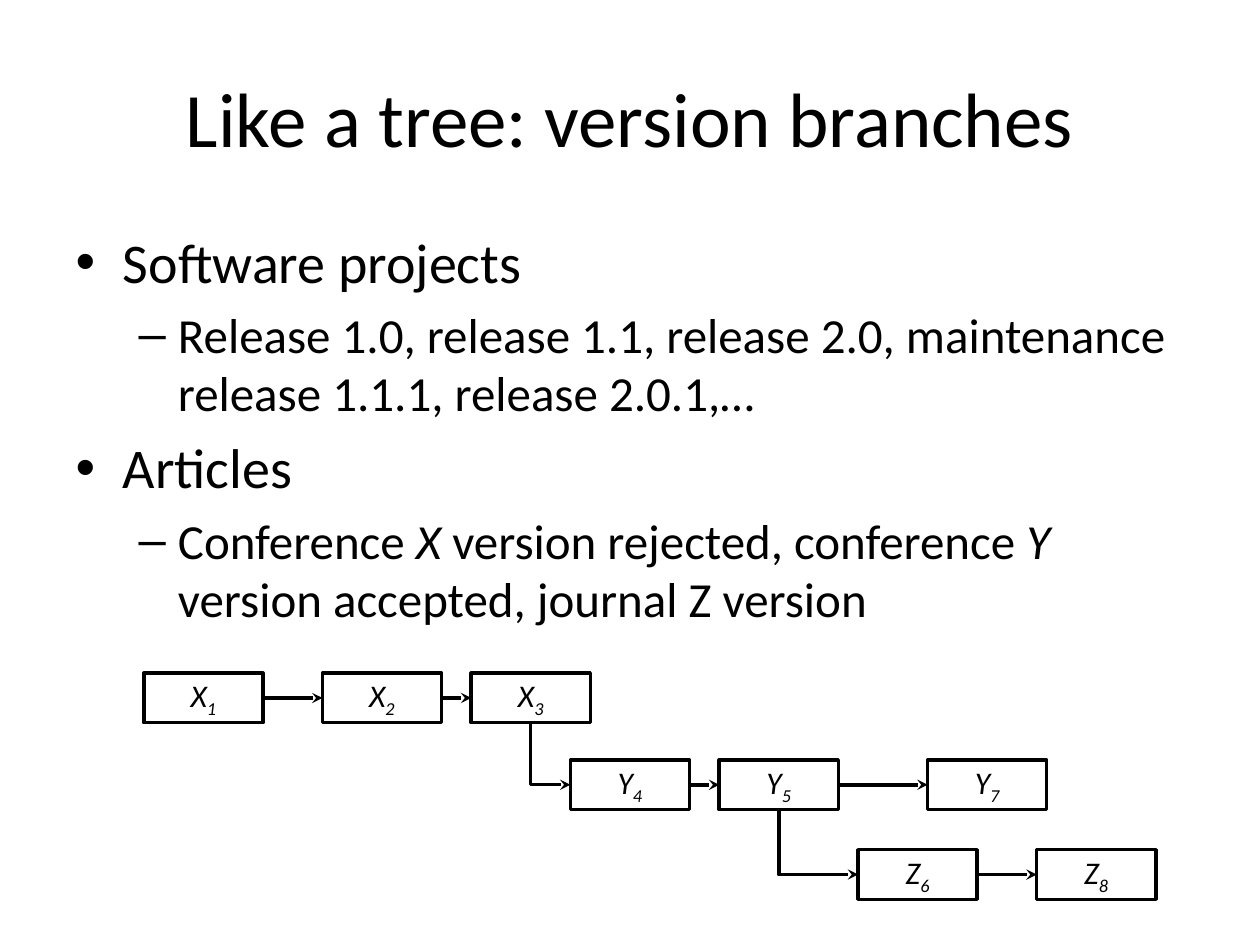
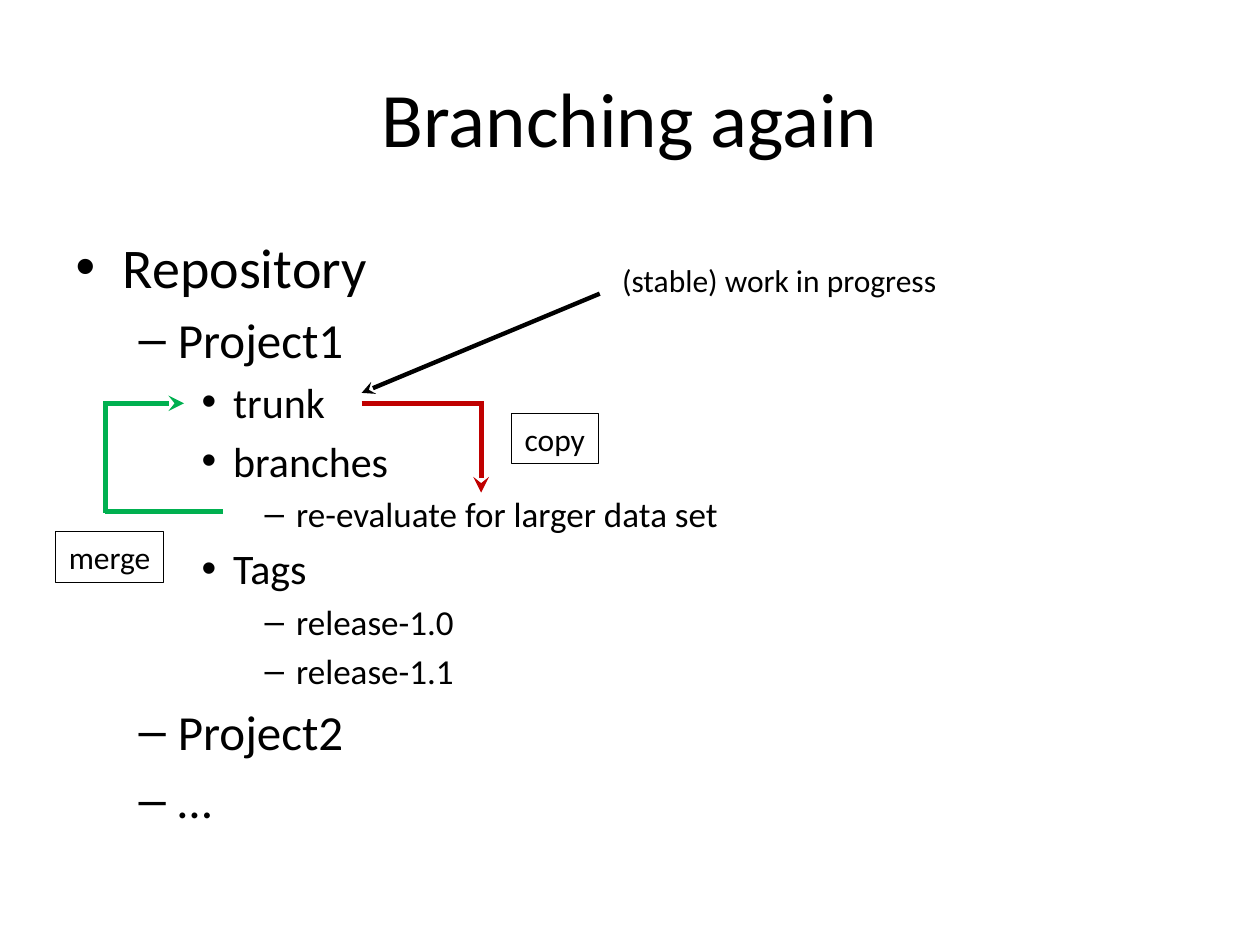
from dataclasses import dataclass

import pptx
import pptx.dml.color
import pptx.enum.shapes
import pptx.enum.text
import pptx.oxml
import pptx.oxml.ns
import pptx.util

Cm, Pt = pptx.util.Cm, pptx.util.Pt
RGBColor = pptx.dml.color.RGBColor
MSO_SHAPE = pptx.enum.shapes.MSO_SHAPE
MSO_CONNECTOR = pptx.enum.shapes.MSO_CONNECTOR
PP_ALIGN = pptx.enum.text.PP_ALIGN
MSO_ANCHOR = pptx.enum.text.MSO_ANCHOR
MSO_AUTO_SIZE = pptx.enum.text.MSO_AUTO_SIZE
qn = pptx.oxml.ns.qn

TOP, LEFT, BOTTOM, RIGHT = range(4)


@dataclass(frozen=True)
class Theme:
    font: str = "Calibri"
    black: RGBColor = RGBColor(0x00, 0x00, 0x00)
    red: RGBColor = RGBColor(0xC0, 0x00, 0x00)
    green: RGBColor = RGBColor(0x00, 0xB0, 0x50)
    title_pt: int = 44
    level_pts: tuple[int, ...] = (32, 28, 24, 20)
    label_pt: int = 18


THEME = Theme()


@dataclass(frozen=True)
class Version:
    """A box in the version graph; lengths in cm."""
    letter: str
    number: int
    left: float
    parent: int | None = None


@dataclass(frozen=True)
class Stroke:
    """A straight line; points in cm, width in points."""
    start: tuple[float, float]
    end: tuple[float, float]
    color: RGBColor
    width: float
    arrow: bool = False


@dataclass(frozen=True)
class Label:
    """A one-line text, framed or plain; lengths in cm."""
    text: str
    left: float
    top: float
    width: float
    framed: bool = True


# Version graph: one row per letter
BOX_W, BOX_H = 2.4, 1.0
ROW_TOPS = {"X": 13.57, "Y": 15.32, "Z": 17.13}
VERSIONS = [
    Version("X", 1, 2.9),
    Version("X", 2, 6.5, 1),
    Version("X", 3, 9.5, 2),
    Version("Y", 4, 11.5, 3),
    Version("Y", 5, 14.5, 4),
    Version("Z", 6, 17.3, 5),
    Version("Y", 7, 18.7, 5),
    Version("Z", 8, 20.9, 6),
]

# Repository annotations
TRUNK_Y, BRANCH_Y = 8.13, 10.31
COPY_X, MERGE_X = 9.7, 2.12
LABEL_H = 1.02
STROKES = [
    Stroke((12.09, 5.92), (7.29, 7.92), THEME.black, 2.5, True),
    Stroke((7.29, TRUNK_Y), (COPY_X, TRUNK_Y), THEME.red, 3),
    Stroke((COPY_X, TRUNK_Y - 0.04), (COPY_X, 9.93), THEME.red, 3, True),
    Stroke((MERGE_X, BRANCH_Y), (4.5, BRANCH_Y), THEME.green, 3),
    Stroke((MERGE_X, TRUNK_Y - 0.04), (MERGE_X, BRANCH_Y + 0.04), THEME.green, 3),
    Stroke((MERGE_X, TRUNK_Y), (3.71, TRUNK_Y), THEME.green, 3, True),
]
LABELS = [
    Label("(stable) work in progress", 12.29, 5.13, 6.91, framed=False),
    Label("copy", 10.31, 8.33, 1.75),
    Label("merge", 1.12, 10.72, 2.18),
]

# List items: level and text, with *...* in italics
BRANCH_ITEMS = [
    (0, "Software projects"),
    (1, "Release 1.0, release 1.1, release 2.0, maintenance release 1.1.1, release 2.0.1,…"),
    (0, "Articles"),
    (1, "Conference *X* version rejected, conference *Y* version accepted, journal Z version"),
]
REPOSITORY_ITEMS = [
    (0, "Repository"),
    (1, "Project1"),
    (2, "trunk"),
    (2, "branches"),
    (3, "re-evaluate for larger data set"),
    (2, "Tags"),
    (3, "release-1.0"),
    (3, "release-1.1"),
    (1, "Project2"),
    (1, "…"),
]


def set_font(p, size: float, italic: bool | None = None) -> None:
    p.font.name = THEME.font
    p.font.size = Pt(size)
    p.font.color.rgb = THEME.black
    p.font.italic = italic


def place(sp, left: float, top: float, width: float, height: float) -> None:
    sp.left, sp.top, sp.width, sp.height = map(Cm, (left, top, width, height))


def add_list_slide(prs, title: str, items: list[tuple[int, str]], body_top: float):
    """Add a slide with a title and a bulleted list."""
    slide = prs.slides.add_slide(prs.slide_layouts[1])
    heading, body = slide.placeholders
    place(heading, 1.27, 0.76, 22.86, 3.18)
    heading.text_frame.text = title
    heading.text_frame.vertical_anchor = MSO_ANCHOR.MIDDLE
    p = heading.text_frame.paragraphs[0]
    p.alignment = PP_ALIGN.CENTER
    set_font(p, THEME.title_pt)

    place(body, 1.27, body_top, 22.86, 12.57)
    tf = body.text_frame
    tf.auto_size = MSO_AUTO_SIZE.NONE
    for i, (level, text) in enumerate(items):
        p = tf.add_paragraph() if i else tf.paragraphs[0]
        p.level = level
        if not i:
            p.space_before = Pt(0)
        set_font(p, THEME.level_pts[level])
        for j, part in enumerate(text.split("*")):
            r = p.add_run()
            r.text = part
            if j % 2:
                r.font.italic = True
    return slide


def style_line(line, color: RGBColor, width: float, arrow: bool = False) -> None:
    """Format a connector, without shadow and with an optional arrowhead."""
    line.line.color.rgb = color
    line.line.width = Pt(width)
    if arrow:
        tail = pptx.oxml.parse_xml(f'<a:tailEnd {pptx.oxml.ns.nsdecls("a")} type="stealth"/>')
        line.line._get_or_add_ln().append(tail)
    effects = pptx.oxml.parse_xml(f'<a:effectLst {pptx.oxml.ns.nsdecls("a")}/>')
    line._element.spPr.append(effects)


def add_box(slide, kind, left: float, top: float, width: float, height: float, line_pt: float):
    """Add an unfilled, black-outlined shape with a single centred line of text."""
    sp = slide.shapes.add_shape(kind, Cm(left), Cm(top), Cm(width), Cm(height))
    sp.shadow.inherit = False
    sp.fill.background()
    sp.line.color.rgb = THEME.black
    sp.line.width = Pt(line_pt)
    tf = sp.text_frame
    tf.word_wrap = False
    tf.vertical_anchor = MSO_ANCHOR.MIDDLE
    tf.margin_top = tf.margin_bottom = 0
    tf.paragraphs[0].alignment = PP_ALIGN.CENTER
    return sp


def add_version(slide, version: Version):
    sp = add_box(slide, MSO_SHAPE.FLOWCHART_PROCESS, version.left,
                 ROW_TOPS[version.letter], BOX_W, BOX_H, 2)
    p = sp.text_frame.paragraphs[0]
    set_font(p, THEME.label_pt, italic=True)
    p.add_run().text = version.letter
    r = p.add_run()
    r.text = str(version.number)
    r._r.get_or_add_rPr().set("baseline", "-25000")
    return sp


def link_versions(slide, parent, child) -> None:
    """Join two boxes: straight along a row, bent down to a lower row."""
    same_row = parent.top == child.top
    kind = MSO_CONNECTOR.STRAIGHT if same_row else MSO_CONNECTOR.ELBOW
    line = slide.shapes.add_connector(kind, 0, 0, 0, 0)
    line.begin_connect(parent, RIGHT if same_row else BOTTOM)
    line.end_connect(child, LEFT)
    if not same_row:
        # One corner: down, then right (a flipped shape turned by 270 degrees)
        across, down = line.width, line.height
        center_x, center_y = line.left + across // 2, line.top + down // 2
        line.left, line.top = center_x - down // 2, center_y - across // 2
        line.width, line.height = down, across
        sp_pr = line._element.spPr
        sp_pr.find(qn("a:prstGeom")).set("prst", "bentConnector2")
        xfrm = sp_pr.find(qn("a:xfrm"))
        xfrm.set("rot", "16200000")
        xfrm.set("flipH", "1")
    style_line(line, THEME.black, 2, arrow=True)


def add_stroke(slide, stroke: Stroke) -> None:
    line = slide.shapes.add_connector(
        MSO_CONNECTOR.STRAIGHT, *map(Cm, (*stroke.start, *stroke.end)))
    style_line(line, stroke.color, stroke.width, stroke.arrow)


def add_label(slide, label: Label) -> None:
    if label.framed:
        sp = add_box(slide, MSO_SHAPE.RECTANGLE, label.left, label.top,
                     label.width, LABEL_H, 0.75)
    else:
        sp = slide.shapes.add_textbox(*map(Cm, (label.left, label.top, label.width, LABEL_H)))
        sp.text_frame.word_wrap = False
    p = sp.text_frame.paragraphs[0]
    p.add_run().text = label.text
    set_font(p, THEME.label_pt)


def main() -> None:
    prs = pptx.Presentation()
    prs.slide_width, prs.slide_height = Cm(25.4), Cm(19.05)

    # Version branches
    slide = add_list_slide(prs, "Like a tree: version branches", BRANCH_ITEMS, 4.45)
    boxes = {v.number: add_version(slide, v) for v in VERSIONS}
    for v in VERSIONS:
        if v.parent:
            link_versions(slide, boxes[v.parent], boxes[v.number])

    # Repository layout
    slide = add_list_slide(prs, "Branching again", REPOSITORY_ITEMS, 4.55)
    for stroke in STROKES:
        add_stroke(slide, stroke)
    for label in LABELS:
        add_label(slide, label)

    prs.save("out.pptx")


if __name__ == "__main__":
    main()
